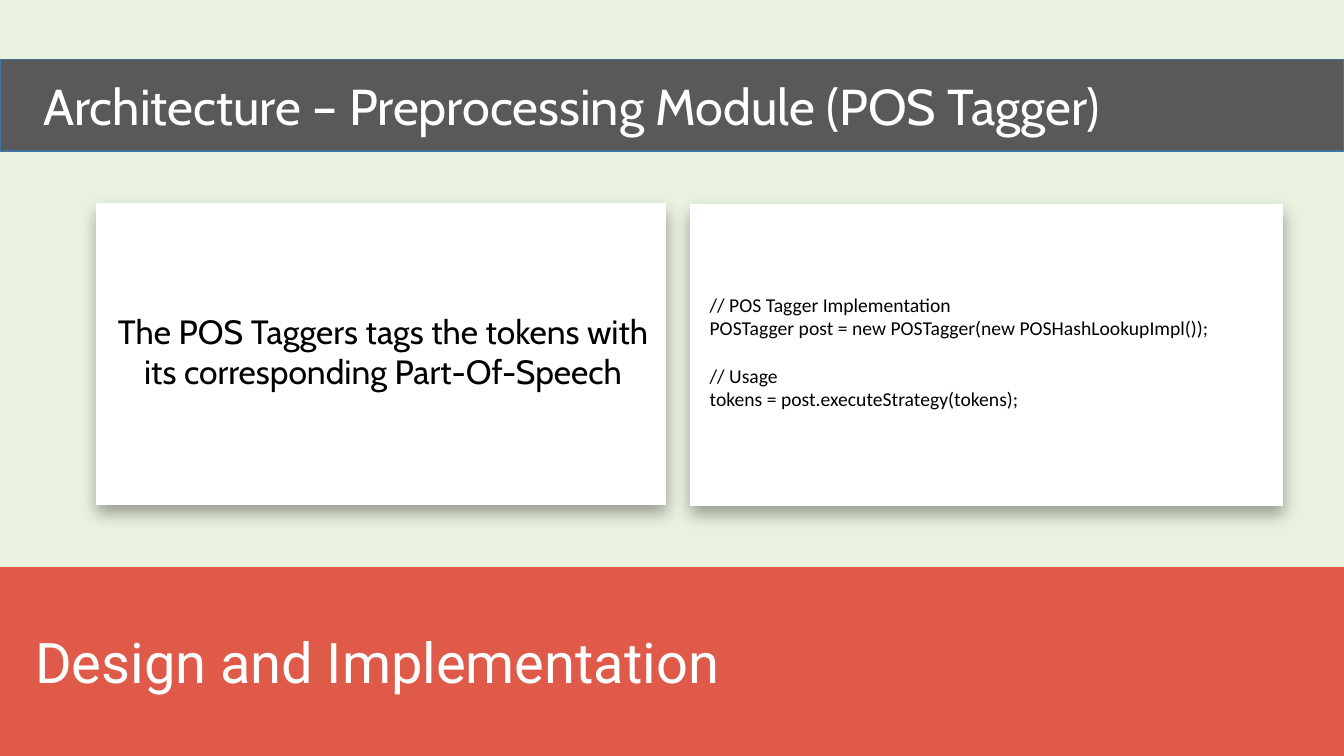
from lxml import etree
from pptx import Presentation
from pptx.dml.color import RGBColor
from pptx.enum.shapes import MSO_SHAPE
from pptx.enum.text import MSO_ANCHOR, MSO_AUTO_SIZE, PP_ALIGN
from pptx.oxml.ns import qn
from pptx.util import Inches, Pt

RECTANGLE = MSO_SHAPE.RECTANGLE
MIDDLE = MSO_ANCHOR.MIDDLE
NO_AUTOFIT = MSO_AUTO_SIZE.NONE
LEFT, CENTER = PP_ALIGN.LEFT, PP_ALIGN.CENTER
TITLE_ONLY = 5
COLUMNS, ROWS = 40, 30

COLORS = {
    "background": "E9F1DF",
    "banner": "DF5A49",
    "title_bar": "595959",
    "title_line": "43739E",
    "white": "FFFFFF",
    "black": "000000",
}


def color(name):
    return RGBColor.from_string(COLORS[name])


class SlideBuilder:
    """Places styled elements on a 40 by 30 grid covering one slide."""

    def __init__(self, presentation):
        self.column = presentation.slide_width / COLUMNS
        self.row = presentation.slide_height / ROWS
        self.slide = presentation.slides.add_slide(
            presentation.slide_layouts[TITLE_ONLY])
        self.slide.background.fill.solid()
        self.slide.background.fill.fore_color.rgb = color("background")

    def frame(self, left, top, width, height):
        """Turn grid units into slide lengths."""
        return (round(left * self.column), round(top * self.row),
                round(width * self.column), round(height * self.row))

    def paint(self, shape, fill, line=None, line_width=0.5):
        shape.fill.solid()
        shape.fill.fore_color.rgb = color(fill)
        if line:
            shape.line.color.rgb = color(line)
            shape.line.width = Pt(line_width)
        else:
            shape.line.fill.background()

    def add_text(self, shape, blocks, size, font, ink, insets, align=LEFT):
        """Fill a shape with blocks of lines, one line of space between blocks."""
        text_frame = shape.text_frame
        text_frame.word_wrap = True
        text_frame.auto_size = NO_AUTOFIT
        text_frame.vertical_anchor = MIDDLE
        (text_frame.margin_left, text_frame.margin_top,
         text_frame.margin_right, text_frame.margin_bottom) = map(Inches, insets)
        paragraph = None
        for block in blocks:
            for index, line in enumerate(block):
                starts_new_block = paragraph is not None and index == 0
                paragraph = (text_frame.paragraphs[0] if paragraph is None
                             else text_frame.add_paragraph())
                paragraph.alignment = align
                paragraph.line_spacing = 1.0
                paragraph.space_before = Pt(size * 1.22 if starts_new_block else 0)
                run = paragraph.add_run()
                run.text = line
                run.font.size = Pt(size)
                run.font.name = font
                run.font.color.rgb = color(ink)

    def title(self, text, area):
        shape = self.slide.shapes.title
        shape.left, shape.top, shape.width, shape.height = self.frame(*area)
        self.paint(shape, "title_bar", "title_line", 1)
        self.add_text(shape, [[text]], 36, "Cabin", "white", (0.43, 0.05, 0.1, 0.05))

    def rectangle(self, area, fill, line=None):
        shape = self.slide.shapes.add_shape(RECTANGLE, *self.frame(*area))
        shape.shadow.inherit = False
        self.paint(shape, fill, line)
        return shape

    def banner(self, text, area):
        shape = self.rectangle(area, "banner")
        self.add_text(shape, [[text]], 40, "Roboto", "white", (0.35, 0.05, 0.1, 0.05))

    def card(self, blocks, area, size, font, align=LEFT):
        shape = self.rectangle(area, "white", "white")
        self.add_shadow(shape)
        self.add_text(shape, blocks, size, font, "black",
                      (0.19, 0.15, 0.15, 0.21), align)

    def add_shadow(self, shape):
        effects = shape._element.spPr.find(qn("a:effectLst"))
        shadow = etree.SubElement(
            effects, qn("a:outerShdw"), blurRad=str(Pt(12)), dist=str(Pt(6)),
            dir="5400000", algn="t", rotWithShape="0")
        shade = etree.SubElement(shadow, qn("a:srgbClr"), val=COLORS["black"])
        etree.SubElement(shade, qn("a:alpha"), val="35000")


def main():
    presentation = Presentation()
    presentation.slide_width = Inches(13.33)
    presentation.slide_height = Inches(7.5)

    builder = SlideBuilder(presentation)
    builder.title("Architecture – Preprocessing Module (POS Tagger)",
                  (0, 2.36, COLUMNS, 3.64))
    builder.card(
        [["The POS Taggers tags the tokens with its corresponding Part-Of-Speech"]],
        (2.88, 8.08, 16.92, 11.92), 24, "Cabin", CENTER)
    builder.card(
        [["// POS Tagger Implementation",
          "POSTagger post = new POSTagger(new POSHashLookupImpl());"],
         ["// Usage",
          "tokens = post.executeStrategy(tokens);"]],
        (20.55, 8.12, 17.61, 11.92), 14, "Calibri")
    builder.banner("Design and Implementation", (0, 22.5, COLUMNS, 7.5))

    presentation.save("out.pptx")


if __name__ == "__main__":
    main()
